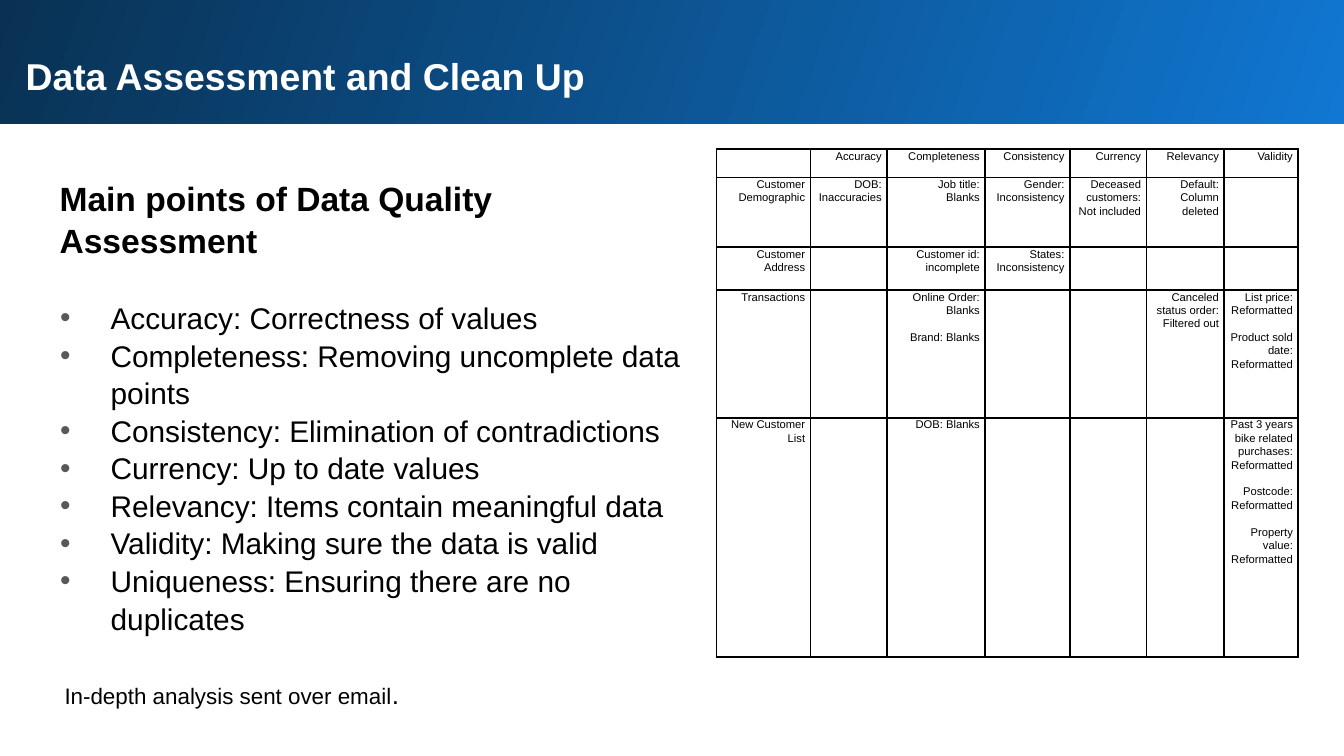
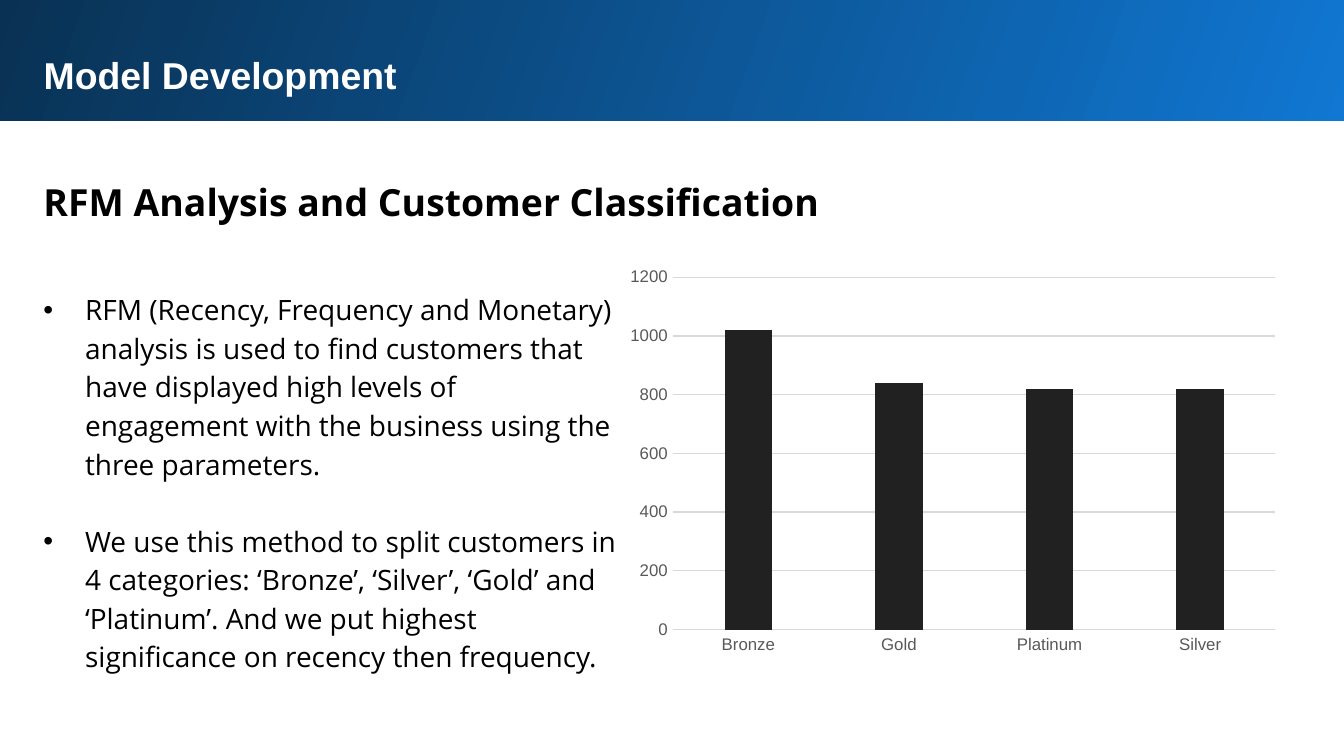
"""Builds two slides: a data quality assessment and an RFM customer model."""
from lxml import etree
from pptx import Presentation
from pptx.chart.data import CategoryChartData
from pptx.dml.color import RGBColor
from pptx.enum.chart import XL_CHART_TYPE, XL_TICK_MARK
from pptx.enum.shapes import MSO_SHAPE
from pptx.enum.text import MSO_ANCHOR, MSO_AUTO_SIZE, PP_ALIGN
from pptx.oxml.ns import qn
from pptx.util import Inches, Pt

COLUMNS = XL_CHART_TYPE.COLUMN_CLUSTERED
NO_TICKS = XL_TICK_MARK.NONE
RECTANGLE = MSO_SHAPE.RECTANGLE
TOP = MSO_ANCHOR.TOP
FIXED = MSO_AUTO_SIZE.NONE
LEFT, RIGHT = PP_ALIGN.LEFT, PP_ALIGN.RIGHT

rgb = RGBColor.from_string
BLACK, WHITE = "000000", "FFFFFF"
BAND_LIGHT, BAND_DARK = "1077D2", "093153"
BULLET_GREY, AXIS_GREY, GRID_GREY, BAR = "585858", "595959", "D9D9D9", "212121"
SANS, HUMANIST = "Arial", "Open Sans"

deck = Presentation()
deck.slide_width = Inches(10)
deck.slide_height = deck.slide_width * 9 // 16
GRID = deck.slide_width / 100
MARGIN = 2.25


def area(column, row, columns, rows):
    return [round(GRID * cells) for cells in (column, row, columns, rows)]


def write(slide, place, lines, font, spacing=1.0, inset=1.0):
    frame = slide.shapes.add_textbox(*place).text_frame
    frame.word_wrap = True
    frame.margin_left = frame.margin_right = round(GRID * inset)
    frame.margin_top = frame.margin_bottom = round(GRID * inset)
    for number, (text, size, bold, indent, hanging, gap, bullet) in enumerate(lines):
        paragraph = frame.add_paragraph() if number else frame.paragraphs[0]
        paragraph.text = text
        properties = paragraph._p.get_or_add_pPr()
        properties.set("marL", str(round(GRID * indent)))
        properties.set("indent", str(round(-GRID * hanging)))
        if bullet:
            colour = etree.SubElement(properties, qn("a:buClr"))
            etree.SubElement(colour, qn("a:srgbClr"), val=bullet)
            etree.SubElement(properties, qn("a:buFont"), typeface=SANS)
            etree.SubElement(properties, qn("a:buChar"), char="•")
        paragraph.line_spacing = spacing
        paragraph.space_after = Pt(gap)
        paragraph.font.name, paragraph.font.size = font, Pt(size)
        paragraph.font.bold = bold
        paragraph.font.color.rgb = rgb(BLACK)
    return frame


headers = [
    ("Data Assessment and Clean Up", area(0.9, 2.95, 93.2, 6.3), area(-0.3, 0, 100.5, 9.2)),
    ("Model Development", area(MARGIN, 2.9, 93.7, 5.1), area(-0.2, -0.2, 100.5, 9.2)),
]
for heading, title_place, band_place in headers:
    slide = deck.slides.add_slide(deck.slide_layouts[5])
    band = slide.shapes.add_shape(RECTANGLE, *band_place)
    band.shadow.inherit = False
    band.line.fill.background()
    band.fill.gradient()
    band.fill.gradient_angle = 160
    for stop, colour in zip(band.fill.gradient_stops, (BAND_LIGHT, BAND_DARK)):
        stop.color.rgb = rgb(colour)

    title = slide.shapes.title
    title.element.addprevious(band.element)
    title.left, title.top, title.width, title.height = title_place
    frame = title.text_frame
    frame.text = heading
    frame.word_wrap, frame.auto_size, frame.vertical_anchor = True, FIXED, TOP
    frame.margin_left = frame.margin_right = round(GRID)
    frame.margin_top = frame.margin_bottom = round(GRID)
    paragraph = frame.paragraphs[0]
    paragraph.alignment = LEFT
    paragraph.font.name, paragraph.font.size = SANS, Pt(20)
    paragraph.font.bold = True
    paragraph.font.color.rgb = rgb(WHITE)

assessment, model = deck.slides

dimensions = [
    "Accuracy: Correctness of values",
    "Completeness: Removing uncomplete data points",
    "Consistency: Elimination of contradictions",
    "Currency: Up to date values",
    "Relevancy: Items contain meaningful data",
    "Validity: Making sure the data is valid",
    "Uniqueness: Ensuring there are no duplicates",
]
main_points = [("Main points of Data Quality Assessment", 18, True, 1.2, 0, 20, None)]
main_points += [(text, 16, False, 5, 3.75, 0, BULLET_GREY) for text in dimensions]
write(assessment, area(MARGIN, 12.1, 50.7, 37.4), main_points, SANS, 1.05)

findings = [
    ["", "Accuracy", "Completeness", "Consistency", "Currency", "Relevancy", "Validity"],
    ["Customer Demographic", "DOB: Inaccuracies", "Job title:\nBlanks",
     "Gender:\nInconsistency", "Deceased customers:\nNot included",
     "Default:\nColumn deleted", ""],
    ["Customer Address", "", "Customer id:\nincomplete", "States:\nInconsistency", "", "", ""],
    ["Transactions", "", "Online Order: Blanks\n\nBrand: Blanks", "", "",
     "Canceled status order:\nFiltered out",
     "List price: Reformatted\n\nProduct sold date: Reformatted"],
    ["New Customer List", "", "DOB: Blanks", "", "", "",
     "Past 3 years bike related purchases:\nReformatted\n\n"
     "Postcode:\nReformatted\n\nProperty value:\nReformatted"],
]
column_spans = [7, 5.7, 7.3, 6.3, 5.7, 5.8, 5.5]
row_spans = [2.1, 5.2, 3.2, 9.5, 17.8]
quality = assessment.shapes.add_table(
    len(row_spans), len(column_spans), *area(53.3, 11.1, sum(column_spans), sum(row_spans))
).table
quality.first_row = quality.horz_banding = False
for column, cells in zip(quality.columns, column_spans):
    column.width = round(GRID * cells)
for row, cells, texts in zip(quality.rows, row_spans, findings):
    row.height = round(GRID * cells)
    for cell, text in zip(row.cells, texts):
        cell.margin_left = cell.margin_right = round(GRID * 0.4)
        cell.margin_top = cell.margin_bottom = 0
        properties = cell._tc.get_or_add_tcPr()
        for side in ("a:lnL", "a:lnR", "a:lnT", "a:lnB"):
            border = etree.SubElement(properties, qn(side), w=str(Pt(1)))
            fill = etree.SubElement(border, qn("a:solidFill"))
            etree.SubElement(fill, qn("a:srgbClr"), val=BLACK)
        cell.fill.background()
        notes = [(line, block > 0 and number == 0)
                 for block, lines in enumerate(text.split("\n\n"))
                 for number, line in enumerate(lines.split("\n"))]
        frame = cell.text_frame
        for number, (line, starts_block) in enumerate(notes):
            paragraph = frame.add_paragraph() if number else frame.paragraphs[0]
            paragraph.text = line
            paragraph.alignment = RIGHT
            paragraph.line_spacing = 1.07
            paragraph.space_before = Pt(7.2 if starts_block else 0)
            paragraph.font.name, paragraph.font.size = SANS, Pt(6)
            paragraph.font.color.rgb = rgb(BLACK)
            if not line:
                etree.SubElement(paragraph._p, qn("a:endParaRPr"), sz="600")

closing = write(assessment, area(4.3, 50, 35.1, 3.4),
                [("In-depth analysis sent over email", 12, False, 0, 0, 0, None)],
                SANS, inset=0.5)
full_stop = closing.paragraphs[0].add_run()
full_stop.text = "."
full_stop.font.size = Pt(14)

write(model, area(MARGIN, 11.85, 93.7, 5.6),
      [("RFM Analysis and Customer Classification", 20, True, 0, 0, 0, None)], HUMANIST, 1.15)
explanation = [
    "RFM (Recency, Frequency and Monetary) analysis is used to find customers that have "
    "displayed high levels of engagement with the business using the three parameters.",
    "We use this method to split customers in 4 categories: ‘Bronze’, ‘Silver’, ‘Gold’ and "
    "‘Platinum’. And we put highest significance on recency then frequency.",
]
write(model, area(MARGIN, 20.4, 45.2, 30.9),
      [(text, 15, False, 3.1, 3.1, gap, BLACK) for text, gap in zip(explanation, (20.5, 0))],
      HUMANIST, 1.15)

customers = CategoryChartData()
customers.categories = ["Bronze", "Gold", "Platinum", "Silver"]
customers.add_series("Series 1", [1020, 840, 820, 820])
chart = model.shapes.add_chart(COLUMNS, *area(45.9, 19.3, 50, 30), customers).chart
chart.has_title = chart.has_legend = False
chart.font.name, chart.font.size = SANS, Pt(10)
chart.font.color.rgb = rgb(BLACK)
bars = chart.plots[0]
bars.gap_width, bars.overlap, bars.vary_by_categories = 219, -27, False
bars.series[0].format.fill.solid()
bars.series[0].format.fill.fore_color.rgb = rgb(BAR)
for axis in (chart.category_axis, chart.value_axis):
    axis.major_tick_mark = axis.minor_tick_mark = NO_TICKS
    axis.tick_labels.font.name, axis.tick_labels.font.size = SANS, Pt(9)
    axis.tick_labels.font.color.rgb = rgb(AXIS_GREY)
chart.value_axis.minimum_scale, chart.value_axis.maximum_scale = 0, 1200
chart.value_axis.major_unit = 200
chart.value_axis.format.line.fill.background()
for line in (chart.category_axis.format.line, chart.value_axis.major_gridlines.format.line):
    line.width = Pt(0.75)
    line.color.rgb = rgb(GRID_GREY)

deck.save("out.pptx")
